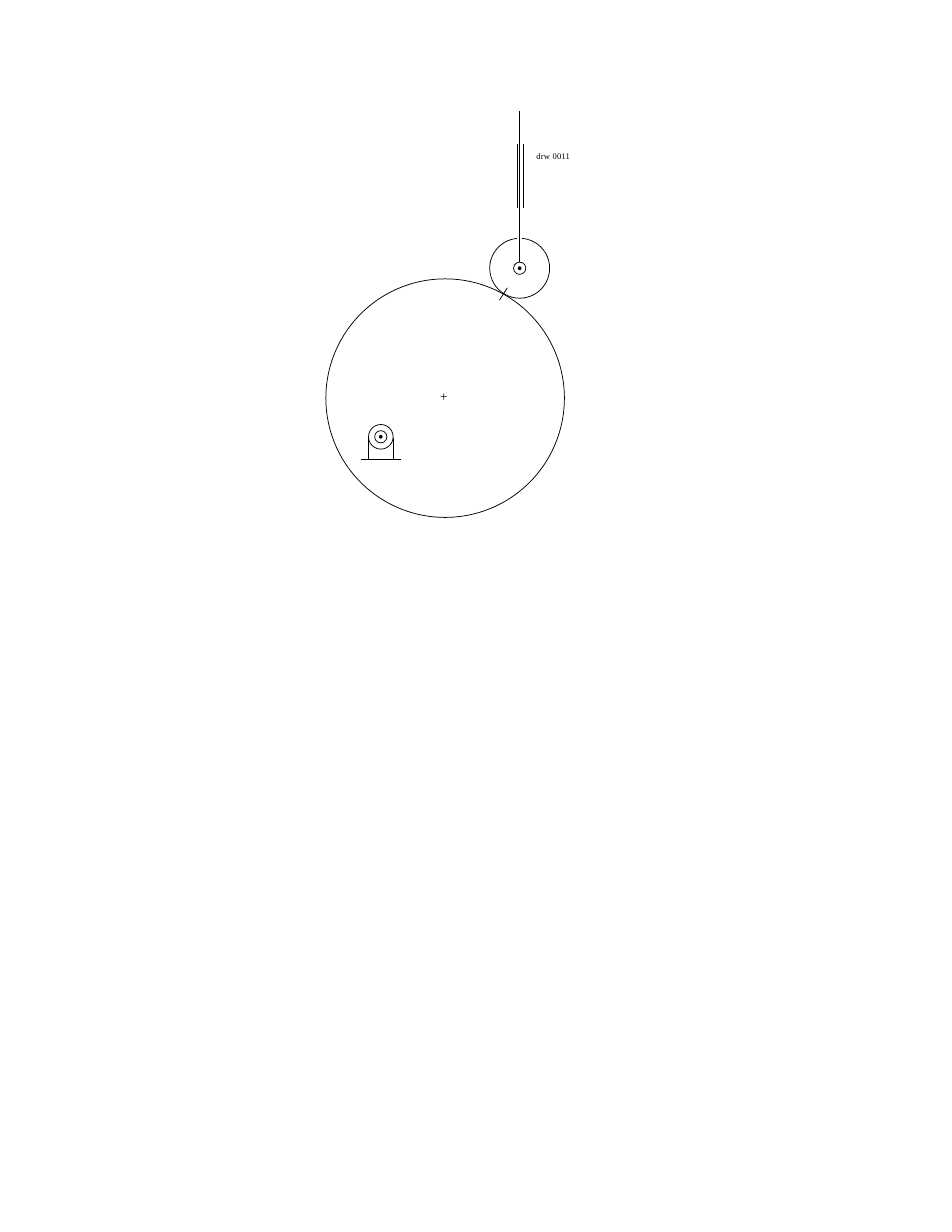
from lxml.etree import SubElement
from pptx import Presentation
from pptx.dml.color import RGBColor
from pptx.enum.shapes import MSO_CONNECTOR, MSO_SHAPE
from pptx.oxml.ns import qn
from pptx.util import Inches, Pt

THEME = {
    "ink": RGBColor(0, 0, 0),
    "paper": RGBColor(255, 255, 255),
    "font": "Times New Roman",
    "mark": 8.5,
    "label": 5.5,
    "thin": 0.47,
}

prs = Presentation()
prs.slide_width, prs.slide_height = Inches(8.5), Inches(11)
s = prs.slides.add_slide(prs.slide_layouts[6])
COL, ROW = prs.slide_width / 850, prs.slide_height / 1100


def box(x, y, w, h):
    return int(x * COL), int(y * ROW), int(w * COL), int(h * ROW)


def add_text(text, x, y, w, h, size, spacing=0):
    tf = s.shapes.add_textbox(*box(x, y, w, h)).text_frame
    tf.margin_left = tf.margin_right = tf.margin_top = tf.margin_bottom = 0
    tf.word_wrap = False
    p = tf.paragraphs[0]
    p._p.get_or_add_pPr().set("marL", str(int(COL)))
    r = p.add_run()
    r.text = text
    r.font.name, r.font.size = THEME["font"], Pt(size)
    r.font.color.rgb = THEME["ink"]
    if spacing:
        r._r.get_or_add_rPr().set("spc", str(int(spacing * 100)))


pivot = (340, 390)
roller = (464, 239.5)
cam = (397.5, 355.5)

# Outlines: centre, radius
outlines = [(pivot, 11), (roller, 26.75), (cam, 106.5)]
# Hubs and their centre dots sit above the lines
hubs = [(centre, radius) for centre in (pivot, roller) for radius in (5.5, 1.25)]

# Lines: x1, y1, x2, y2, colour, width
lines = [
    (329, 390, 329, 410, "ink", THEME["thin"]),      # bracket sides
    (351, 391, 351, 410, "ink", THEME["thin"]),
    (322, 410, 358, 410, "ink", THEME["thin"]),      # bracket base
    (453, 257, 446, 268, "ink", THEME["thin"]),      # contact mark
    (462, 129, 462, 186, "ink", THEME["thin"]),      # rod guides
    (467, 129, 467, 186, "ink", THEME["thin"]),
    (462, 213, 466, 213, "paper", 3.25),             # gaps behind the rod
    (463, 233, 465, 233, "paper", 1.67),
    (464, 99, 464, 239, "ink", THEME["thin"]),       # rod
]

for (cx, cy), radius in outlines:
    sp = s.shapes.add_shape(
        MSO_SHAPE.OVAL, *box(cx - radius, cy - radius, 2 * radius, 2 * radius))
    sp.shadow.inherit = False
    sp.fill.background()
    sp.line.color.rgb, sp.line.width = THEME["ink"], Pt(THEME["thin"])

for x1, y1, x2, y2, colour, width in lines:
    line = s.shapes.add_connector(
        MSO_CONNECTOR.STRAIGHT, *box(x1, y1, x2, y2))
    line.line.color.rgb, line.line.width = THEME[colour], Pt(width)
    SubElement(line._element.spPr, qn("a:effectLst"))

for (cx, cy), radius in hubs:
    sp = s.shapes.add_shape(
        MSO_SHAPE.OVAL, *box(cx - radius, cy - radius, 2 * radius, 2 * radius))
    sp.shadow.inherit = False
    sp.fill.solid()
    sp.fill.fore_color.rgb = THEME["ink" if radius < 2 else "paper"]
    sp.line.color.rgb, sp.line.width = THEME["ink"], Pt(THEME["thin"])

add_text("+", 392, 347, 10, 15, THEME["mark"])
add_text("drw 0011", 478, 135, 33, 11, THEME["label"], spacing=0.1)

prs.save("out.pptx")
